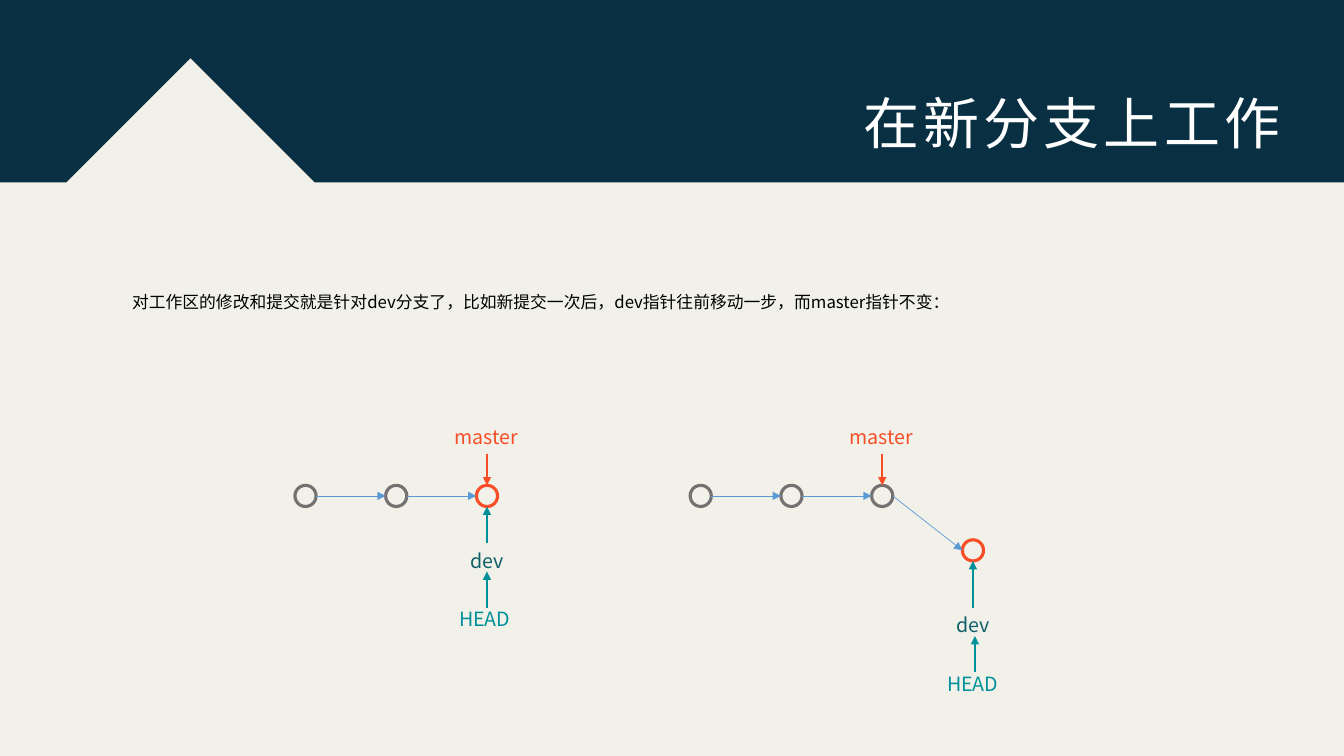
"""Build a slide that shows how a new commit moves the dev branch."""
from lxml import etree
from pptx import Presentation
from pptx.dml.color import RGBColor as Rgb
from pptx.enum.shapes import MSO_CONNECTOR as Conn, MSO_SHAPE as Form
from pptx.enum.text import MSO_ANCHOR as Anchor, PP_ALIGN as Align
from pptx.oxml.ns import qn
from pptx.util import Inches, Pt

FONT = "Noto Sans CJK JP"
HUE = {
    "paper": "F1F1E9", "navy": "092F42", "white": "FFFFFF", "black": "000000",
    "red": "F74E27", "gray": "767171", "blue": "5B9BD5",
    "teal": "00909A", "deep": "0E5F68",
}
TITLE = "在新分支上工作"
BODY = "对工作区的修改和提交就是针对dev分支了，比如新提交一次后，dev指针往前移动一步，而master指针不变："
TAGS = {"master": (0.85, "red"), "dev": (0.53, "deep"), "HEAD": (0.75, "teal")}
ROW, STEP, SIZE = 4.92, 0.9, 0.21
RAD = SIZE / 2
TAG_H = 0.34
GRAPHS = [
    {"left": 3.03, "drops": [0, 0, 0], "dev": 5.39, "shift": 0},
    {"left": 6.95, "drops": [0, 0, 0, 0.54], "dev": 6.03, "shift": 0.02},
]


def color(name):
    return Rgb.from_string(HUE[name])


def place(item, x, y, w, h):
    item.left, item.top = Inches(x), Inches(y)
    item.width, item.height = Inches(w), Inches(h)


def write(item, text, size, hue, align=Align.LEFT, anchor=Anchor.MIDDLE,
          wrap=False, lead=None, track=0):
    frame = item.text_frame
    frame.word_wrap, frame.vertical_anchor = wrap, anchor
    para = frame.paragraphs[0]
    props = para._p.get_or_add_pPr()
    props.set("marL", "0")
    props.set("indent", "0")
    etree.SubElement(props, qn("a:buNone"))
    para.alignment, para.space_before = align, Pt(0)
    if lead:
        para.line_spacing = lead
    run = para.add_run()
    run.text = text
    font = run.font
    font.size, font.name, font.color.rgb = Pt(size), FONT, color(hue)
    mark = font._element
    etree.SubElement(mark, qn("a:ea")).set("typeface", FONT)
    if track:
        mark.set("spc", str(track * 100))


def shape(form, x, y, w, h, fill=None, line=None):
    item = slide.shapes.add_shape(form, *map(Inches, (x, y, w, h)))
    item.shadow.inherit = False
    if fill:
        item.fill.solid()
        item.fill.fore_color.rgb = color(fill)
    else:
        item.fill.background()
    if line:
        item.line.color.rgb, item.line.width = color(line), Pt(2.25)
    else:
        item.line.fill.background()
    return item


def arrow(x1, y1, x2, y2, hue, width=1.5):
    item = slide.shapes.add_connector(
        Conn.STRAIGHT, *map(Inches, (x1, y1, x2, y2)))
    item.line.color.rgb, item.line.width = color(hue), Pt(width)
    props = item._element.spPr
    etree.SubElement(props.find(qn("a:ln")), qn("a:tailEnd")).set("type", "triangle")
    etree.SubElement(props, qn("a:effectLst"))


def tag(name, x, y):
    w, hue = TAGS[name]
    item = shape(Form.RECTANGLE, x - w / 2, y, w, TAG_H, fill="paper")
    write(item, name, 14, hue)


def draw(left, drops, dev, shift):
    nodes = [(left + i * STEP, ROW + d) for i, d in enumerate(drops)]
    end = len(nodes) - 1
    for i, (x, y) in enumerate(nodes):
        shape(Form.OVAL, x - RAD, y - RAD, SIZE, SIZE,
              line="red" if i == end else "gray")
    for (x1, y1), (x2, y2) in zip(nodes, nodes[1:]):
        arrow(x1 + RAD, y1, x2 - RAD, y2, "blue", 0.5)
    base = nodes[2][0]
    tag("master", base, 4.16)
    arrow(base, 4.5, base, ROW - RAD, "red")
    tip, low = nodes[end]
    head = dev + 0.58
    tag("HEAD", tip + shift, head)
    tag("dev", tip, dev)
    arrow(tip, dev, tip, low + RAD, "teal")
    arrow(tip + shift, head + 0.06, tip + shift, dev + 0.28, "teal")


deck = Presentation()
deck.slide_width, deck.slide_height = Inches(13.33), Inches(7.5)
slide = deck.slides.add_slide(deck.slide_layouts[1])
slide.background.fill.solid()
slide.background.fill.fore_color.rgb = color("paper")
title, body = slide.placeholders

shape(Form.RECTANGLE, 0, 0, 13.33, 1.81, fill="navy")
peak = shape(Form.RECTANGLE, 1.02, 0.94, 1.74, 1.74, fill="paper")
peak.rotation = 45
for item in (title, body):
    slide.shapes._spTree.append(item._element)

place(title, 8.38, 0.83, 4.42, 0.77)
write(title, TITLE, 40, "white", align=Align.RIGHT, track=3)
place(body, 1.21, 2.64, 10.91, 0.45)
write(body, BODY, 12, "black", anchor=Anchor.TOP, wrap=True, lead=2.0)

for graph in GRAPHS:
    draw(**graph)

deck.save("out.pptx")
